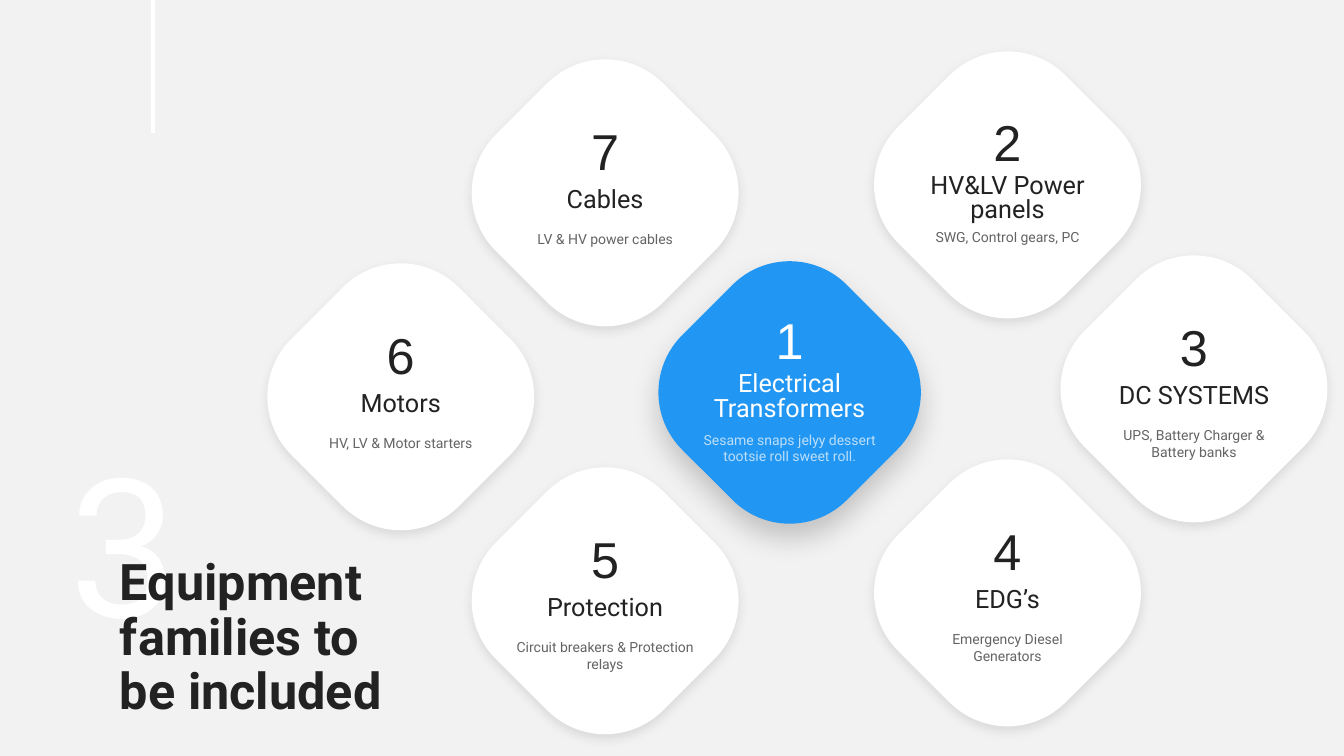
from lxml.etree import SubElement
from pptx import Presentation
from pptx.dml.color import RGBColor
from pptx.enum.shapes import MSO_CONNECTOR, MSO_SHAPE
from pptx.enum.text import MSO_ANCHOR, PP_ALIGN
from pptx.oxml.ns import qn
from pptx.util import Cm, Pt

DARK, WHITE, BLUE, GREY = "222222", "FFFFFF", "2196F3", "F2F2F2"
COUNT = dict(name="Arial", size=Pt(36))
LABEL = dict(name="Roboto", size=Pt(18))
NOTE = dict(name="Roboto", size=Pt(10))
HEAD = dict(name="Roboto", size=Pt(36), bold=True)
GIANT = dict(name="Roboto", size=Pt(138), bold=False)
TIGHT = dict(alignment=PP_ALIGN.CENTER, line_spacing=0.8)
MID = dict(alignment=PP_ALIGN.CENTER)
LEFT = dict(alignment=PP_ALIGN.LEFT)
SOFT = dict(alpha=10, blur=8, dist=3)
DEEP = dict(alpha=20, blur=20, dist=10)
ONE = (-1.66, -0.22, 0.83)
TWO = (-1.69, -0.37, 0.98)
CORE = (-1.92, -0.6, 0.85)
STEP = 5.14

TILES = [
    ("1", "Electrical Transformers", "Sesame snaps jelyy dessert tootsie roll sweet roll.",
     19.9, 9.89, CORE),
    ("2", "HV&LV Power panels", "SWG, Control gears, PC", 25.39, 9.8 - STEP, TWO),
    ("4", "EDG’s", "Emergency Diesel Generators", 25.39, 9.8 + STEP, ONE),
    ("3", "DC SYSTEMS", "UPS, Battery Charger & Battery banks", 30.09, 9.8, ONE),
    ("7", "Cables", "LV & HV power cables", 15.25, 10 - STEP, ONE),
    ("5", "Protection", "Circuit breakers & Protection relays", 15.25, 10 + STEP, ONE),
    ("6", "Motors", "HV, LV & Motor starters", 10.1, 10, ONE),
]


def apply(item, form):
    for key, value in form.items():
        setattr(item, key, value)


def paint(fill, tone):
    fill.solid()
    fill.fore_color.rgb = RGBColor.from_string(tone)


class Board:
    def __init__(self, deck):
        self.slide = deck.slides.add_slide(deck.slide_layouts[5])
        self.shapes = self.slide.shapes
        paint(self.slide.background.fill, GREY)

    def letter(self, shape, text, font, para, tone, alpha=100):
        frame = shape.text_frame
        apply(frame, dict(word_wrap=True, vertical_anchor=MSO_ANCHOR.TOP))
        line = frame.paragraphs[0]
        apply(line, para)
        run = line.add_run()
        run.text = text
        apply(run.font, font)
        paint(run.font.fill, tone)
        if alpha < 100:
            node = run._r.find(".//" + qn("a:srgbClr"))
            SubElement(node, qn("a:alpha"), val=str(alpha * 1000))
        return frame

    def text(self, x, y, wide, high, *style):
        box = self.shapes.add_textbox(Cm(x), Cm(y), Cm(wide), Cm(high))
        return self.letter(box, *style)

    def title(self, x, y, wide, high, text):
        head = self.slide.shapes.title
        apply(head, dict(left=Cm(x), top=Cm(y), width=Cm(wide), height=Cm(high)))
        self.letter(head, text, HEAD, dict(LEFT, line_spacing=0.9), DARK)
        self.slide.shapes._spTree.append(head._element)

    def line(self, x, top, end):
        rule = self.shapes.add_connector(
            MSO_CONNECTOR.STRAIGHT, Cm(x), Cm(top), Cm(x), Cm(end))
        rule.line.width = Pt(3)
        paint(rule.line.fill, WHITE)
        SubElement(rule._element.spPr, qn("a:effectLst"))

    def shade(self, shape, alpha, blur, dist):
        shape.shadow.inherit = False
        effects = shape._element.spPr.find(qn("a:effectLst"))
        outer = SubElement(
            effects, qn("a:outerShdw"), blurRad=str(Pt(blur)), dist=str(Pt(dist)),
            dir="5400000", algn="t", rotWithShape="0")
        color = SubElement(outer, qn("a:srgbClr"), val="000000")
        SubElement(color, qn("a:alpha"), val=str(alpha * 1000))

    def diamond(self, x, y, side, tone, shadow):
        shape = self.shapes.add_shape(
            MSO_SHAPE.ROUNDED_RECTANGLE,
            Cm(x - side / 2), Cm(y - side / 2), Cm(side), Cm(side))
        shape.rotation = 45
        shape.adjustments[0] = 0.347
        paint(shape.fill, tone)
        shape.line.fill.background()
        self.shade(shape, **shadow)

    def tile(self, count, label, note, x, y, tops):
        core = tops is CORE
        ink = WHITE if core else DARK
        self.shapes = self.slide.shapes.add_group_shape().shapes
        if core:
            self.diamond(x, y, 5.87, BLUE, DEEP)
        else:
            self.diamond(x, y, 5.97, WHITE, SOFT)
        high, mid, low = tops
        self.text(x - 2.51, y + mid, 5.02, 0.76, label, LABEL, TIGHT, ink)
        self.text(x - 2.51, y + low, 5.02, 1.4, note, NOTE, MID, ink, 70)
        self.text(x - 1.08, y + high, 2.16, 1.57, count, COUNT, TIGHT, ink)
        self.shapes = self.slide.shapes


def main():
    deck = Presentation()
    apply(deck, dict(slide_width=Cm(33.87), slide_height=Cm(19.05)))
    board = Board(deck)
    frame = board.text(1.42, 11.73, 7.24, 3.78, "3", GIANT, LEFT, WHITE)
    apply(frame, dict(vertical_anchor=MSO_ANCHOR.MIDDLE, margin_left=Cm(0.33),
                      margin_right=Cm(0.33), margin_top=Cm(0.18),
                      margin_bottom=Cm(0.18)))
    board.title(2.77, 13.92, 8, 4.29, "Equipment families to be included")
    board.line(3.86, 0, 3.35)
    for item in TILES:
        board.tile(*item)
    deck.save("out.pptx")


if __name__ == "__main__":
    main()
